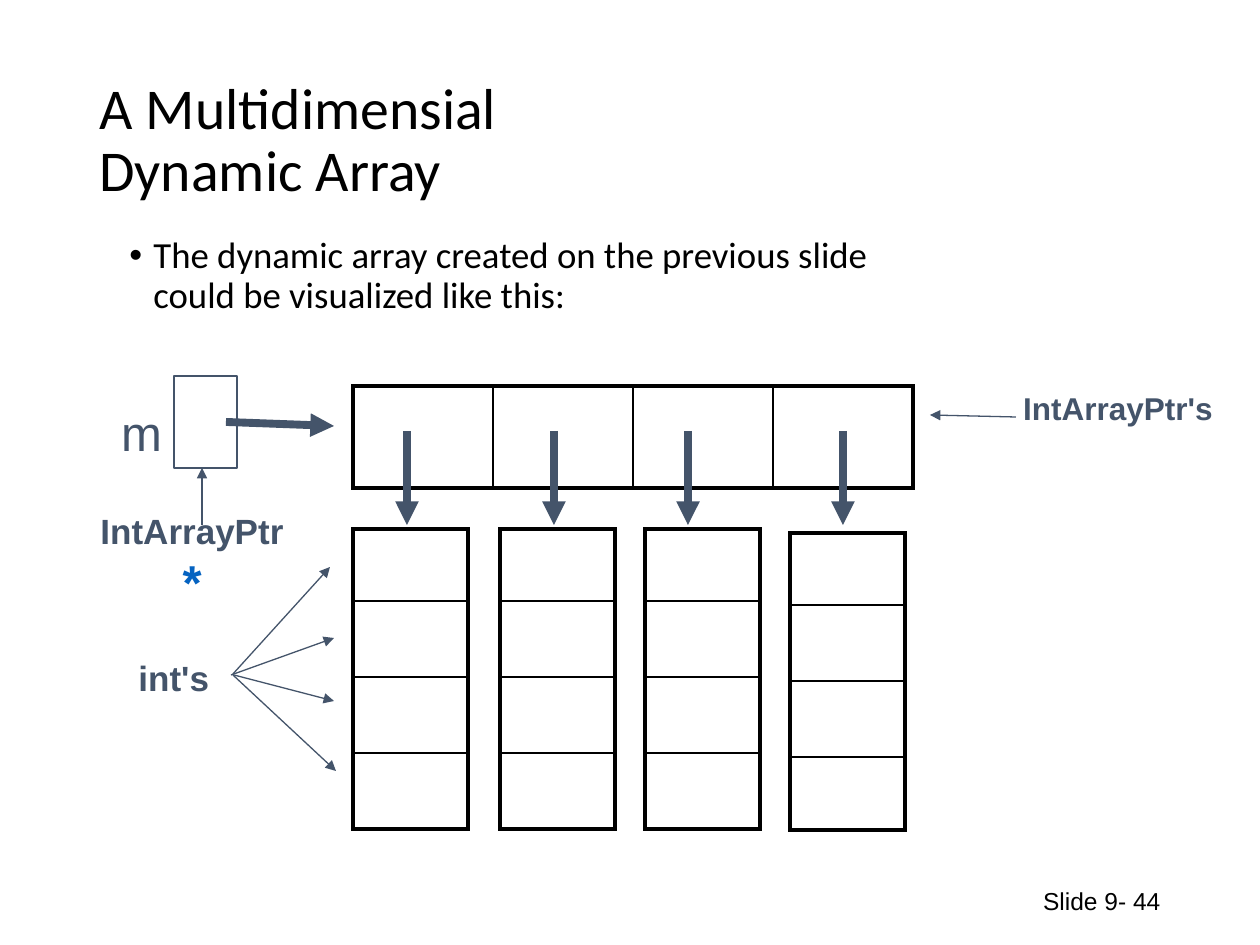
from lxml import etree
from pptx import Presentation
from pptx.dml.color import RGBColor
from pptx.enum.shapes import MSO_CONNECTOR, MSO_SHAPE
from pptx.enum.text import MSO_ANCHOR, MSO_AUTO_SIZE, PP_ALIGN
from pptx.oxml.ns import qn
from pptx.util import Pt

BLACK = RGBColor(0x00, 0x00, 0x00)
SLATE = RGBColor(0x44, 0x54, 0x6A)
BLUE = RGBColor(0x05, 0x63, 0xC1)
LEFT, CENTER, RIGHT = PP_ALIGN.LEFT, PP_ALIGN.CENTER, PP_ALIGN.RIGHT
TOP, MIDDLE = MSO_ANCHOR.TOP, MSO_ANCHOR.MIDDLE
NO_FIT, GROW = MSO_AUTO_SIZE.NONE, MSO_AUTO_SIZE.SHAPE_TO_FIT_TEXT
STRAIGHT = MSO_CONNECTOR.STRAIGHT
THICK, THIN = 2.25, 1

TITLE = "A Multidimensial \vDynamic Array"
BODY = "The dynamic array created on the previous slide\vcould be visualized like this:"

# box, text, size, bold, wraps, blue mark after the text
LABELS = [
    ((108, 396, 67, 72), "m", 28, False, True, ""),
    ((81, 503, 222, 72), "IntArrayPtr ", 20, True, True, "*"),
    ((1003, 383, 230, 50), "IntArrayPtr's", 18, True, False, ""),
    ((116, 650, 106, 54), " int's", 20, True, False, ""),
]
POINTER_BOX = (174, 376, 63, 92)

# left, top, column widths, row heights
POINTER_ROW = (353, 386, [140] * 4, [102])
INT_COLUMNS = [
    (353, 529, [115], [72, 76, 76, 76]),
    (500, 529, [115], [72, 76, 76, 76]),
    (645, 529, [115], [72, 76, 76, 76]),
    (790, 533, [115], [72, 76, 76, 73]),
]

DOWN_ARROWS_X = [407, 554, 688, 843]
# start, end, width in points
ARROWS = [
    ((202, 525), (202, 468), 1.5),
    ((226, 422), (334, 426), 4.5),
    ((1016, 417), (930, 415), 0.75),
    ((233, 674), (330, 567), 0.75),
    ((231, 675), (334, 638), 0.75),
    ((234, 675), (334, 701), 0.75),
    ((233, 675), (336, 771), 0.75),
] + [((x, 431), (x, 525), 4.5) for x in DOWN_ARROWS_X]


def px(n):
    return round(n * 914400 / 126)


def style(r, size, color, font, bold=False):
    r.font.size = Pt(size)
    r.font.name = font
    r.font.bold = bold
    r.font.color.rgb = color


def add_text(s, box, text, size, color=BLACK, font="Calibri", bold=False,
             align=LEFT, anchor=TOP, wrap=True, fit=NO_FIT):
    tf = s.shapes.add_textbox(*map(px, box)).text_frame
    tf.word_wrap = wrap
    tf.auto_size = fit
    tf.vertical_anchor = anchor
    p = tf.paragraphs[0]
    p.text = text
    p.alignment = align
    for r in p.runs:
        style(r, size, color, font, bold)
    return p


def add_bullet(p, indent):
    pPr = p._p.get_or_add_pPr()
    pPr.set("marL", str(px(indent)))
    pPr.set("indent", str(-px(indent)))
    etree.SubElement(pPr, qn("a:buFont")).set("typeface", "Arial")
    etree.SubElement(pPr, qn("a:buChar")).set("char", "•")


def add_arrow(s, start, end, width):
    c = s.shapes.add_connector(STRAIGHT, *map(px, start + end))
    c.line.color.rgb = SLATE
    c.line.width = Pt(width)
    etree.SubElement(c.line._get_or_add_ln(), qn("a:tailEnd")).set("type", "triangle")
    etree.SubElement(c._element.spPr, qn("a:effectLst"))


def set_borders(cell, widths):
    """Draw the cell's sides; widths are left, right, top, bottom in points."""
    tcPr = cell._tc.get_or_add_tcPr()
    for i, (side, width) in enumerate(zip("LRTB", widths)):
        ln = etree.Element(qn(f"a:ln{side}"), w=str(Pt(width)))
        fill = etree.SubElement(ln, qn("a:solidFill"))
        etree.SubElement(fill, qn("a:srgbClr")).set("val", str(BLACK))
        tcPr.insert(i, ln)


def add_grid(s, left, top, cols, rows):
    """Add an empty table with a thick frame and thin inner lines."""
    size = (left, top, sum(cols), sum(rows))
    table = s.shapes.add_table(len(rows), len(cols), *map(px, size)).table
    table.first_row = table.horz_banding = False
    for i, width in enumerate(cols):
        table.columns[i].width = px(width)
    for j, height in enumerate(rows):
        table.rows[j].height = px(height)
        for i in range(len(cols)):
            cell = table.cell(j, i)
            cell.fill.background()
            outer = (i == 0, i == len(cols) - 1, j == 0, j == len(rows) - 1)
            set_borders(cell, [THICK if edge else THIN for edge in outer])


def main():
    prs = Presentation()
    prs.slide_width, prs.slide_height = px(1260), px(945)
    s = prs.slides.add_slide(prs.slide_layouts[6])

    title = add_text(s, (87, 50, 1086, 183), TITLE, 33, anchor=MIDDLE)
    title.line_spacing = 0.9
    body = add_text(s, (117, 231, 1143, 127), BODY, 21)
    body.line_spacing = 0.9
    body.space_before = Pt(7.5)
    add_bullet(body, 24)

    box = s.shapes.add_shape(MSO_SHAPE.RECTANGLE, *map(px, POINTER_BOX))
    box.shadow.inherit = False
    box.fill.background()
    box.line.color.rgb = SLATE
    box.line.width = Pt(0.75)

    for area, text, size, bold, wrap, mark in LABELS:
        p = add_text(s, area, text, size, SLATE, "Arial", bold, CENTER,
                     wrap=wrap, fit=GROW)
        if mark:
            r = p.add_run()
            r.text = mark
            style(r, 28, BLUE, "Arial", True)

    for grid in [POINTER_ROW] + INT_COLUMNS:
        add_grid(s, *grid)
    for arrow in ARROWS:
        add_arrow(s, *arrow)

    add_text(s, (890, 876, 283, 50), "Slide 9- 44", 14, font="Arial",
             align=RIGHT, anchor=MIDDLE)
    prs.save("out.pptx")


if __name__ == "__main__":
    main()
